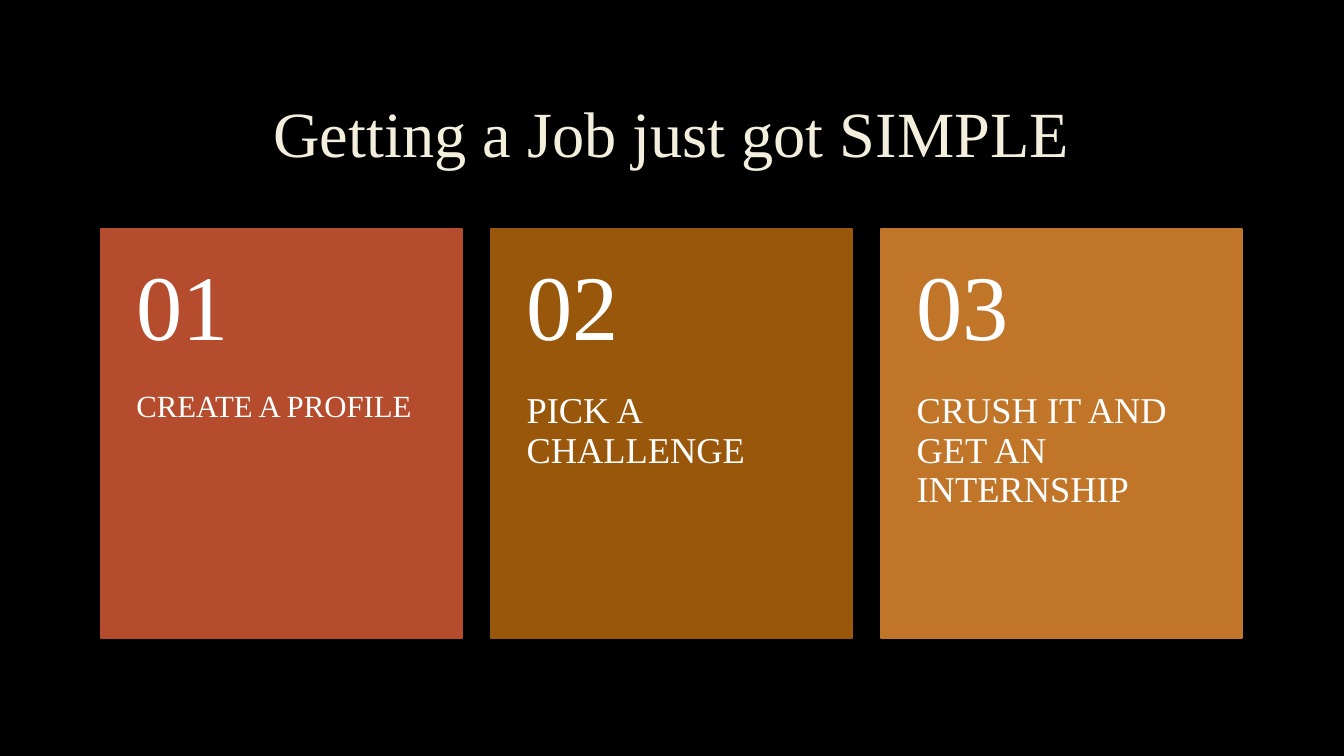
from dataclasses import dataclass

from pptx import Presentation
from pptx.dml.color import RGBColor
from pptx.enum.shapes import MSO_SHAPE
from pptx.enum.text import MSO_ANCHOR, PP_ALIGN
from pptx.util import Cm, Pt

HEADLINE = "Getting a Job just got SIMPLE"
STEPS = [
    {"number": "01", "label": "CREATE A PROFILE", "color": "B54C2D", "size": 22},
    {"number": "02", "label": "PICK A CHALLENGE", "color": "99570C", "size": 26},
    {"number": "03", "label": "CRUSH IT AND GET AN INTERNSHIP", "color": "C17529", "size": 26},
]


@dataclass(frozen=True)
class Theme:
    font: str = "Times New Roman"
    background: str = "000000"
    headline: str = "F4EEDC"
    card_text: str = "FFFFFF"
    headline_size: int = 46
    number_size: int = 66
    card_line: float = 1.25


THEME = Theme()
MARGIN = 2.54
CARD_TOP, CARD_WIDTH, CARD_HEIGHT = 5.77, 9.1, 10.31
CARD_GAP = 0.73
NUMBER_HEIGHT = 4.12
CARD_INSET = 0.9
HEADLINE_INSETS = (0.25, 0.13, 0.25, 0.13)
NUMBER_INSETS = (CARD_INSET, 0.46, CARD_INSET, 0.46)
LABEL_INSETS = (CARD_INSET, 0, CARD_INSET, 0.91)


def add_text(slide, text, box, insets, size, color, anchor, align=PP_ALIGN.LEFT):
    frame = slide.shapes.add_textbox(*map(Cm, box)).text_frame
    frame.word_wrap = True
    frame.vertical_anchor = anchor
    frame.margin_left, frame.margin_top, frame.margin_right, frame.margin_bottom = map(Cm, insets)
    frame.text = text
    paragraph = frame.paragraphs[0]
    paragraph.alignment = align
    paragraph.line_spacing = 0.9
    font = paragraph.runs[0].font
    font.name = THEME.font
    font.size = Pt(size)
    font.color.rgb = RGBColor.from_string(color)


def add_step(slide, step, left):
    card = slide.shapes.add_shape(
        MSO_SHAPE.RECTANGLE, Cm(left), Cm(CARD_TOP), Cm(CARD_WIDTH), Cm(CARD_HEIGHT)
    )
    card.shadow.inherit = False
    card.fill.solid()
    card.fill.fore_color.rgb = RGBColor.from_string(step["color"])
    card.line.color.rgb = RGBColor.from_string(step["color"])
    card.line.width = Pt(THEME.card_line)

    label_box = (left, CARD_TOP + NUMBER_HEIGHT, CARD_WIDTH, CARD_HEIGHT - NUMBER_HEIGHT)
    add_text(slide, step["label"], label_box, LABEL_INSETS, step["size"],
             THEME.card_text, MSO_ANCHOR.TOP)
    number_box = (left, CARD_TOP, CARD_WIDTH, NUMBER_HEIGHT)
    add_text(slide, step["number"], number_box, NUMBER_INSETS, THEME.number_size,
             THEME.card_text, MSO_ANCHOR.MIDDLE)


def main():
    deck = Presentation()
    deck.slide_width, deck.slide_height = Cm(33.87), Cm(19.05)
    slide = deck.slides.add_slide(deck.slide_layouts[6])
    slide.background.fill.solid()
    slide.background.fill.fore_color.rgb = RGBColor.from_string(THEME.background)

    add_text(slide, HEADLINE, (MARGIN, 1.7, 28.75, 3.5), HEADLINE_INSETS,
             THEME.headline_size, THEME.headline, MSO_ANCHOR.MIDDLE, PP_ALIGN.CENTER)
    for index, step in enumerate(STEPS):
        add_step(slide, step, MARGIN + index * (CARD_WIDTH + CARD_GAP))

    deck.save("out.pptx")


if __name__ == "__main__":
    main()
